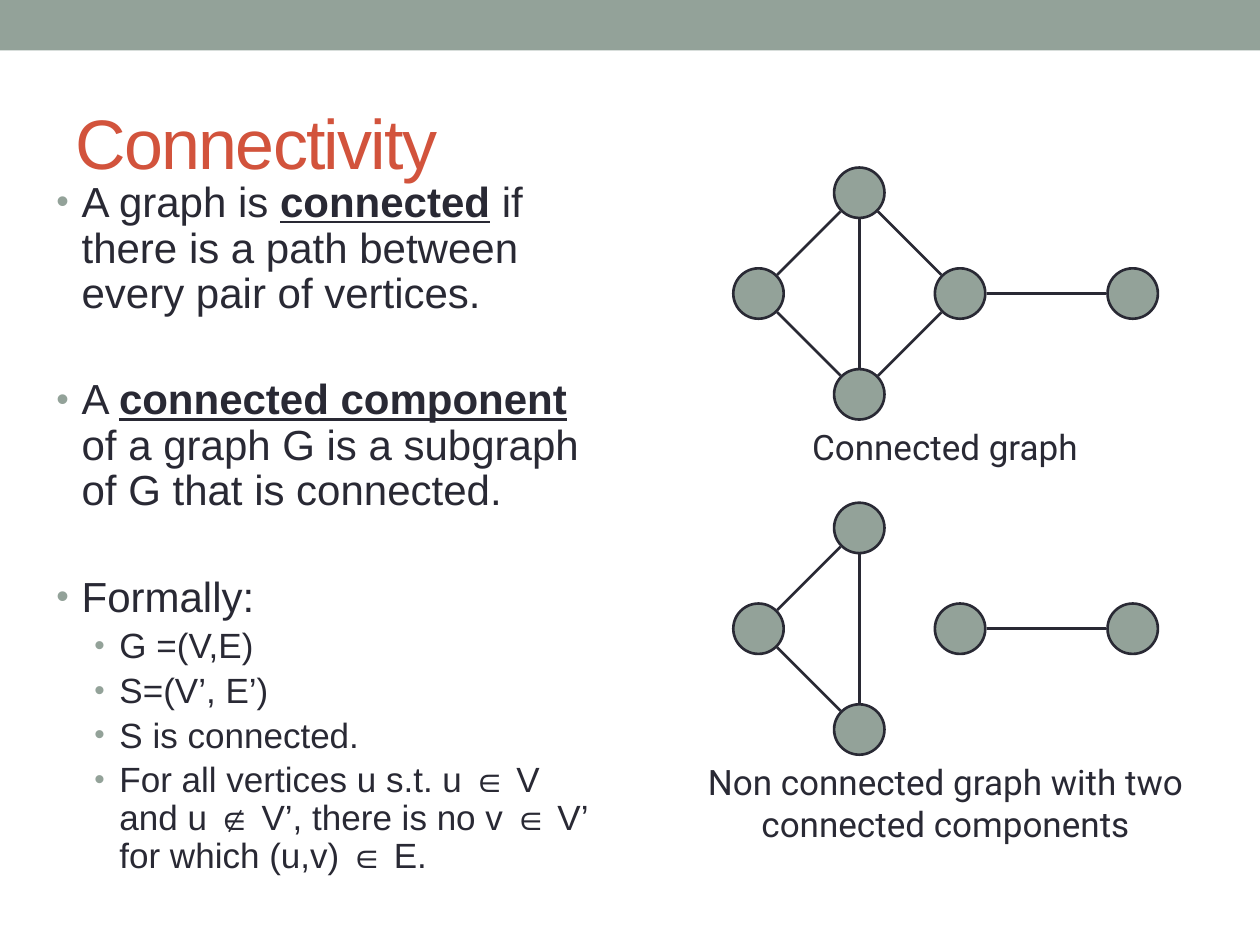
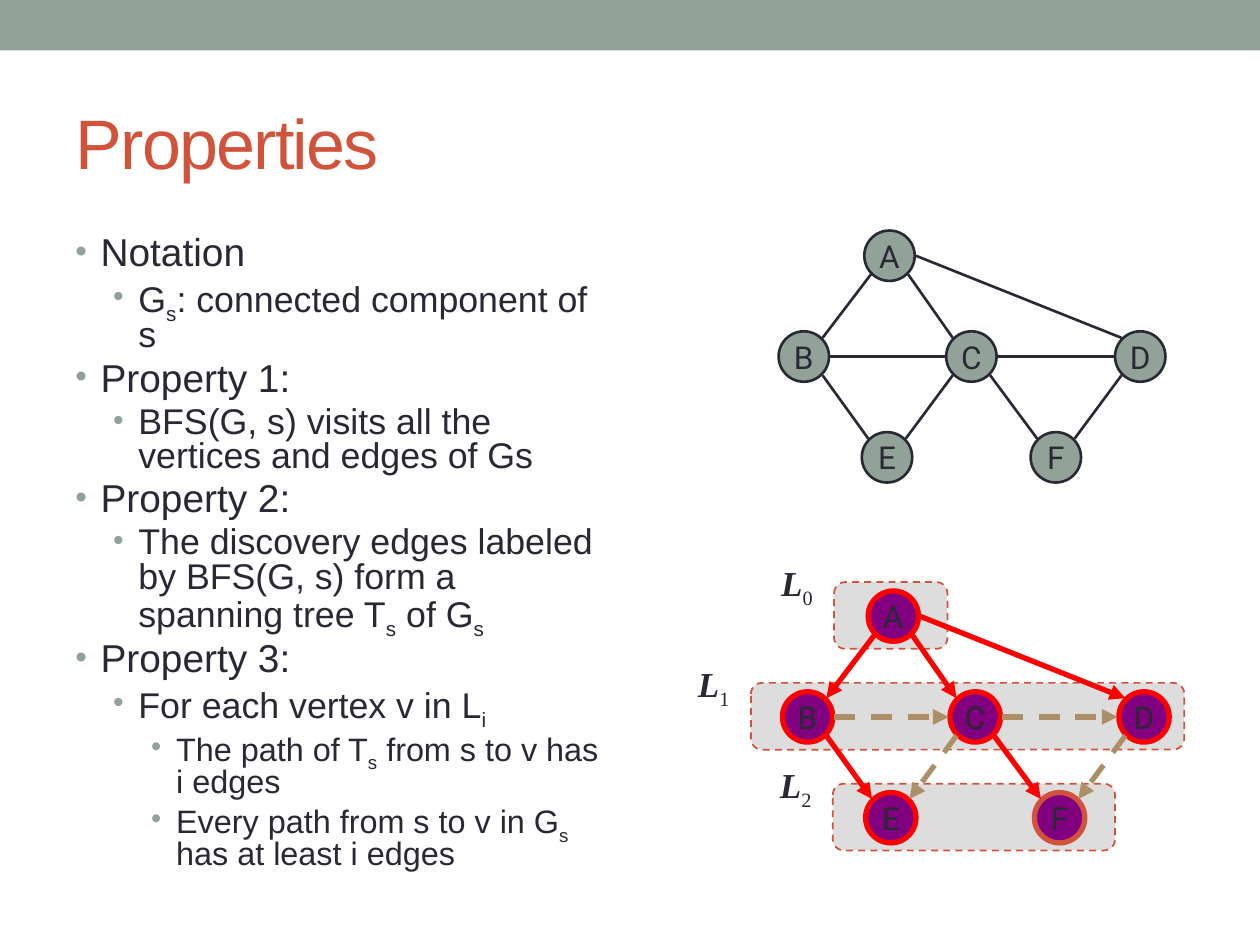
from math import atan2, cos, hypot, pi, sin

from lxml.etree import SubElement
from pptx import Presentation
from pptx.dml.color import RGBColor
from pptx.enum.dml import MSO_LINE
from pptx.enum.shapes import MSO_CONNECTOR, MSO_SHAPE
from pptx.enum.text import MSO_ANCHOR, PP_ALIGN
from pptx.oxml.ns import qn
from pptx.util import Inches, Pt

SAGE = RGBColor(0x93, 0xA2, 0x99)
INK = RGBColor(0x29, 0x29, 0x34)
RUST = RGBColor(0xD2, 0x53, 0x3C)
RED = RGBColor(0xFF, 0x00, 0x00)
PURPLE = RGBColor(0x80, 0x00, 0x80)
TAN = RGBColor(0xAD, 0x8F, 0x67)
PALE = RGBColor(0xDD, 0xDD, 0xDD)

NODE_RADIUS = 0.2
EDGE_REACH = 0.21
TOP_LEFT = 5  # eighths of a turn, clockwise from the right

DIAMOND = {"left": (0.2, 1), "top": (1, 0.2), "right": (1.8, 1),
           "bottom": (1, 1.8), "far": (3.17, 1)}
SPLIT_EDGES = [("top", "left"), ("bottom", "left"), ("top", "bottom"), ("right", "far")]
JOINED_EDGES = SPLIT_EDGES + [("top", "right"), ("bottom", "right")]

LETTERS = {"A": (0.88, 0.2), "B": (0.2, 1), "C": (1.53, 1),
           "D": (2.87, 1), "E": (0.86, 1.8), "F": (2.2, 1.8)}
TREE_EDGES = [("A", "B"), ("A", "C"), ("A", "D", TOP_LEFT), ("B", "E"), ("C", "F")]
CROSS_EDGES = [("B", "C"), ("C", "D"), ("C", "E"), ("D", "F")]
LAYERS = [(0.41, 0.9), (-0.25, 3.44), (0.4, 2.24)]  # left, width

CONNECTIVITY_TEXT = [
    (0, "A graph is |connected| if there is a path between every pair of vertices."),
    (0, "A |connected component| of a graph G is a subgraph of G that is connected."),
    (0, "Formally:"),
    (1, "G =(V,E)"),
    (1, "S=(V’, E’)"),
    (1, "S is connected."),
    (1, "For all vertices u s.t. u ∈ V and u ∉ V’, there is no v ∈ V’ for which (u,v) ∈ E."),
]
PROPERTIES_TEXT = [
    (0, "Notation"),
    (1, "G|s|: connected component of s"),
    (0, "Property 1:"),
    (1, "BFS(G, s) visits all the vertices and edges of Gs"),
    (0, "Property 2:"),
    (1, "The discovery edges labeled by BFS(G, s) form a spanning tree T|s| of G|s"),
    (0, "Property 3:"),
    (1, "For each vertex v in L|i"),
    (2, "The path of T|s| from s to v has i edges"),
    (2, "Every path from s to v in G|s| has at least i edges"),
]


def add_run(paragraph, text, size, font="Arial", color=INK):
    run = paragraph.add_run()
    run.text = text
    run.font.name, run.font.size = font, Pt(size)
    run.font.color.rgb = color
    return run


def emphasize(run):
    run.font.bold = run.font.underline = True


def lower(run):
    """Make the run a subscript."""
    run.font._element.set("baseline", "-25000")


def add_preset(slide, kind, box, fill, line=None, width=1.0):
    shape = slide.shapes.add_shape(kind, *map(Inches, box))
    shape.shadow.inherit = False
    shape.fill.solid()
    shape.fill.fore_color.rgb = fill
    if line is None:
        shape.line.fill.background()
    else:
        shape.line.color.rgb = line
        shape.line.width = Pt(width)
    return shape


def add_text_box(slide, box):
    frame = slide.shapes.add_textbox(*map(Inches, box)).text_frame
    frame.word_wrap = True
    return frame


def add_base_slide(presentation, title):
    """Add a slide with the top band and its title."""
    slide = presentation.slides.add_slide(presentation.slide_layouts[5])
    add_preset(slide, MSO_SHAPE.RECTANGLE, (0, 0, 10, 0.4), SAGE)
    placeholder = slide.shapes.title
    placeholder.left, placeholder.top = Inches(0.5), Inches(0.58)
    placeholder.width, placeholder.height = Inches(9), Inches(1.08)
    placeholder.text_frame.vertical_anchor = MSO_ANCHOR.MIDDLE
    paragraph = placeholder.text_frame.paragraphs[0]
    paragraph.alignment = PP_ALIGN.LEFT
    run = add_run(paragraph, title, 40, color=RUST)
    run.font._element.set("spc", "-100")
    return slide


def add_bullet(paragraph, level):
    properties = paragraph._p.get_or_add_pPr()
    properties.set("marL", str(Inches(0.2 + 0.3 * level)))
    properties.set("indent", str(-Inches(0.2)))
    color = SubElement(properties, qn("a:buClr"))
    SubElement(color, qn("a:srgbClr"), val=str(SAGE))
    SubElement(properties, qn("a:buSzPct"), val="90000" if level == 2 else "85000")
    SubElement(properties, qn("a:buFont"), typeface="Arial")
    SubElement(properties, qn("a:buChar"), char="•")


def add_bullets(slide, box, items, sizes, line_spacing, mark, top_gap=None):
    """Fill the box with bullets; mark styles the pieces between bars."""
    frame = add_text_box(slide, box)
    for index, (level, text) in enumerate(items):
        paragraph = frame.add_paragraph() if index else frame.paragraphs[0]
        add_bullet(paragraph, level)
        paragraph.level = level
        paragraph.line_spacing = line_spacing
        if index:
            wide = top_gap and level == 0
            paragraph.space_before = Pt(top_gap if wide else 0.2 * sizes[level])
        for position, piece in enumerate(text.split("|")):
            run = add_run(paragraph, piece, sizes[level])
            if position % 2:
                mark(run)


def add_caption(slide, box, text):
    paragraph = add_text_box(slide, box).paragraphs[0]
    paragraph.alignment = PP_ALIGN.CENTER
    add_run(paragraph, text, 20, "Roboto")


def add_nodes(slide, origin, nodes, fill, line, width, labelled=False):
    """Draw a circle round each centre and return the shapes by name."""
    shapes = {}
    for name, (x, y) in nodes.items():
        box = (origin[0] + x - NODE_RADIUS, origin[1] + y - NODE_RADIUS,
               2 * NODE_RADIUS, 2 * NODE_RADIUS)
        shape = shapes[name] = add_preset(slide, MSO_SHAPE.OVAL, box, fill, line, width)
        if labelled:
            frame = shape.text_frame
            frame.word_wrap = False
            frame.vertical_anchor = MSO_ANCHOR.MIDDLE
            frame.paragraphs[0].alignment = PP_ALIGN.CENTER
            add_run(frame.paragraphs[0], name, 18, "Roboto")
    return shapes


def rim_point(origin, center, eighth):
    angle = eighth * pi / 4
    return (origin[0] + center[0] + EDGE_REACH * cos(angle),
            origin[1] + center[1] + EDGE_REACH * sin(angle))


def add_edges(slide, origin, nodes, edges, color=INK, width=1.5, arrow=False, dashed=False):
    """Join nodes at the nearest eighth of their rims, or at a given one."""
    for start, end, *end_eighth in edges:
        (x1, y1), (x2, y2) = nodes[start], nodes[end]
        eighth = round(atan2(y2 - y1, x2 - x1) / (pi / 4))
        arrival = end_eighth[0] if end_eighth else eighth + 4
        points = rim_point(origin, nodes[start], eighth) + rim_point(origin, nodes[end], arrival)
        edge = slide.shapes.add_connector(MSO_CONNECTOR.STRAIGHT, *map(Inches, points))
        edge.line.color.rgb = color
        edge.line.width = Pt(width)
        if dashed:
            edge.line.dash_style = MSO_LINE.DASH
        if arrow:
            SubElement(edge.line._get_or_add_ln(), qn("a:tailEnd"), type="triangle")
        SubElement(edge._element.spPr, qn("a:effectLst"))


def add_plain_graph(slide, origin, nodes, edges, labelled=False):
    add_nodes(slide, origin, nodes, SAGE, INK, 1.5, labelled)
    add_edges(slide, origin, nodes, edges)


def add_layers(slide, origin):
    for index, (offset, width) in enumerate(LAYERS):
        left, top = origin[0] + offset, origin[1] - 0.07 + 0.8 * index
        layer = add_preset(slide, MSO_SHAPE.ROUNDED_RECTANGLE,
                           (left, top, width, 0.53), PALE, RUST)
        layer.line.dash_style = MSO_LINE.DASH
        label = add_text_box(slide, (left - 0.55, top - 0.21, 0.51, 0.43)).paragraphs[0]
        label.alignment = PP_ALIGN.CENTER
        letter = add_run(label, "L", 20, "Times New Roman")
        letter.font.bold = letter.font.italic = True
        lower(add_run(label, str(index), 20, "Times New Roman"))


def add_search_tree(slide, origin):
    """Draw the layered graph with discovery and cross edges."""
    add_layers(slide, origin)
    shapes = add_nodes(slide, origin, LETTERS, PURPLE, RED, 3, labelled=True)
    shapes["F"].line.color.rgb = RUST
    add_edges(slide, origin, LETTERS, CROSS_EDGES, TAN, 3, arrow=True, dashed=True)
    add_edges(slide, origin, LETTERS, TREE_EDGES, RED, 3, arrow=True)


def build_connectivity(presentation):
    slide = add_base_slide(presentation, "Connectivity")
    add_bullets(slide, (0.35, 1.39, 4.56, 5.75), CONNECTIVITY_TEXT, (24, 20), 0.9,
                emphasize, top_gap=35)
    add_plain_graph(slide, (5.82, 1.33), DIAMOND, JOINED_EDGES)
    add_caption(slide, (5.94, 3.33, 3.12, 0.43), "Connected graph")
    add_plain_graph(slide, (5.82, 3.99), DIAMOND, SPLIT_EDGES)
    add_caption(slide, (5.51, 5.99, 3.99, 0.77),
                "Non connected graph with two connected components")


def build_properties(presentation):
    slide = add_base_slide(presentation, "Properties")
    add_bullets(slide, (0.5, 1.83, 4.42, 5.16), PROPERTIES_TEXT, (22.2, 20.4, 18.5), 0.8, lower)
    add_plain_graph(slide, (6.18, 1.83), LETTERS, TREE_EDGES + CROSS_EDGES, labelled=True)
    add_search_tree(slide, (6.21, 4.69))


def main():
    presentation = Presentation()
    presentation.slide_width, presentation.slide_height = Inches(10), Inches(7.5)
    build_connectivity(presentation)
    build_properties(presentation)
    presentation.save("out.pptx")


if __name__ == "__main__":
    main()
